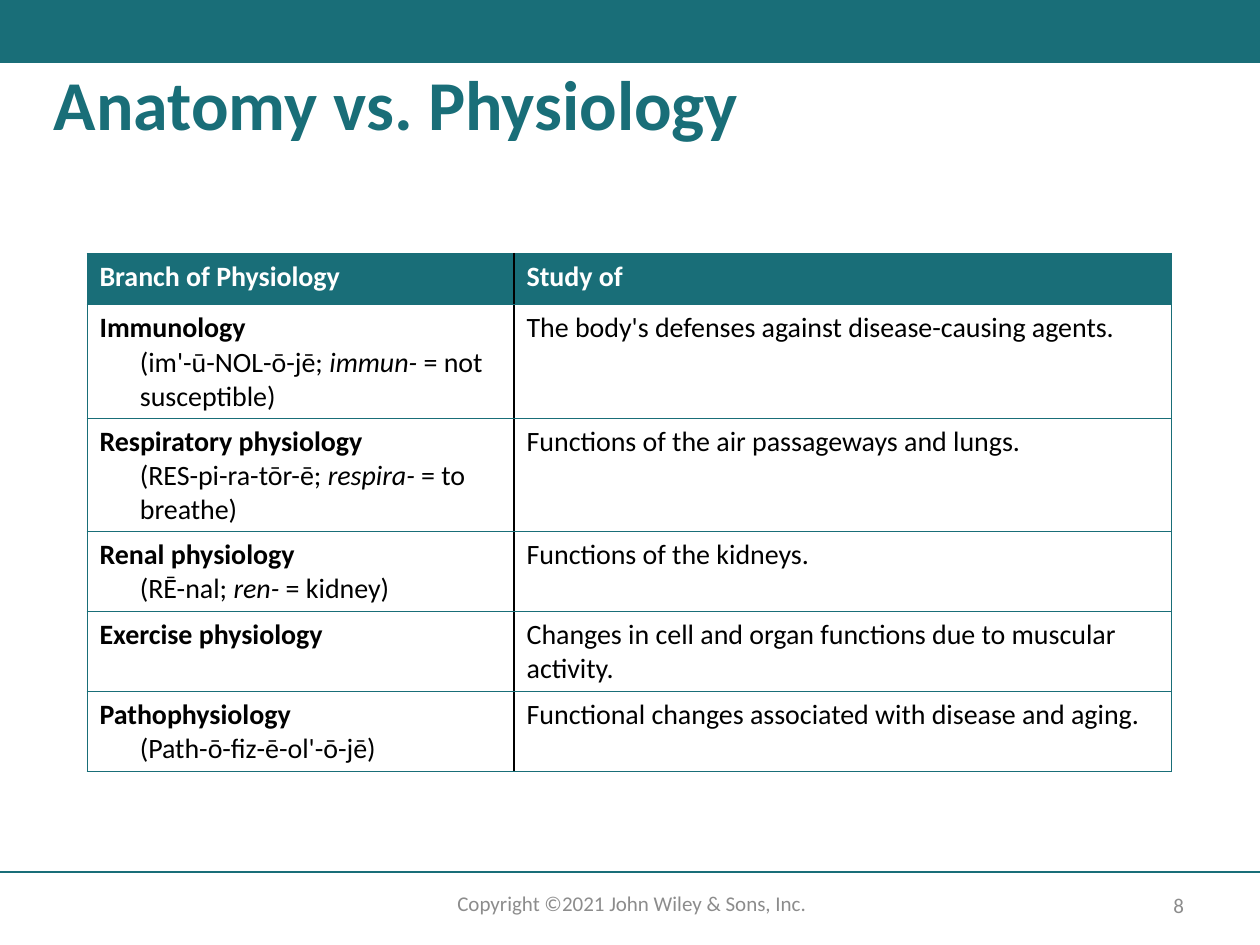
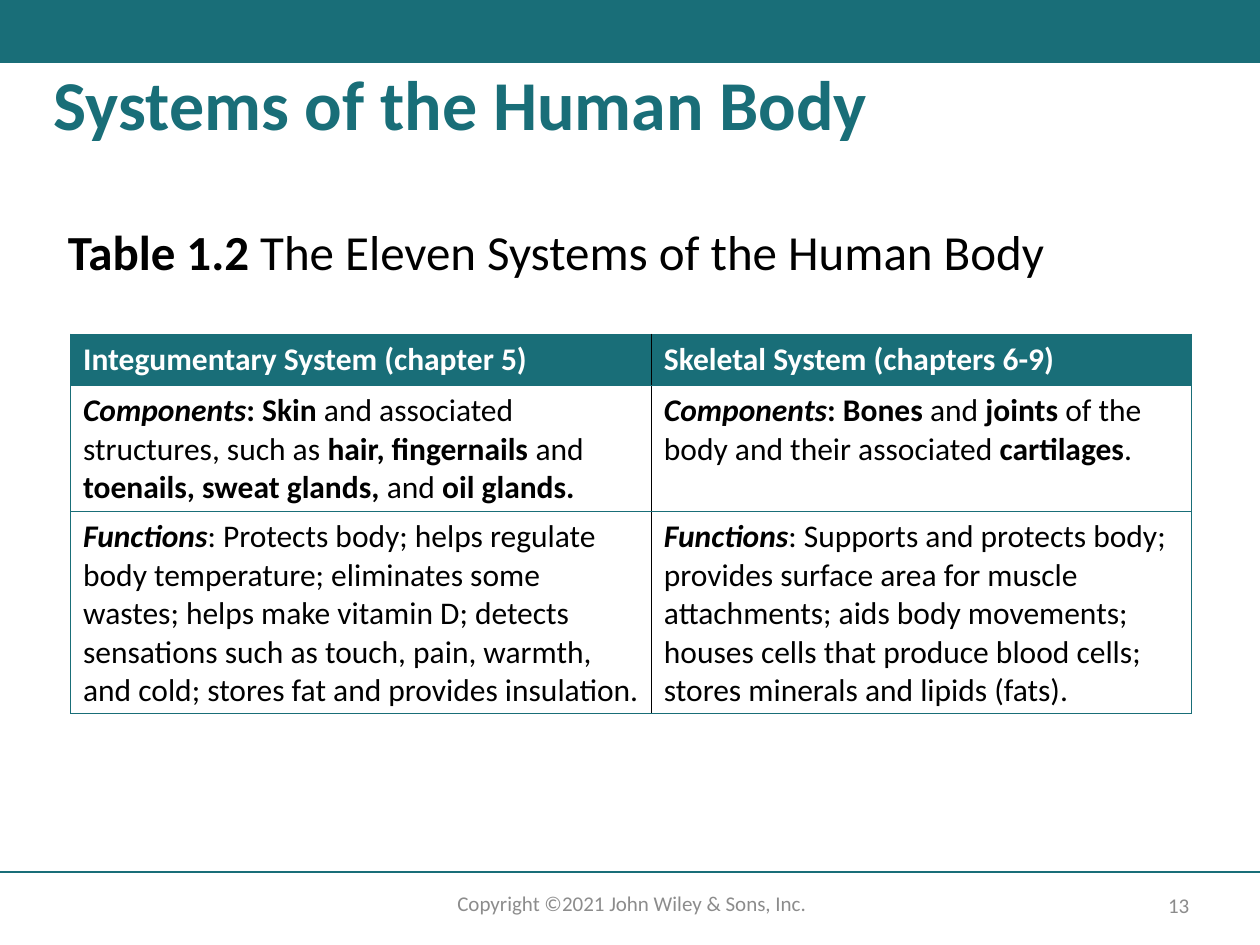
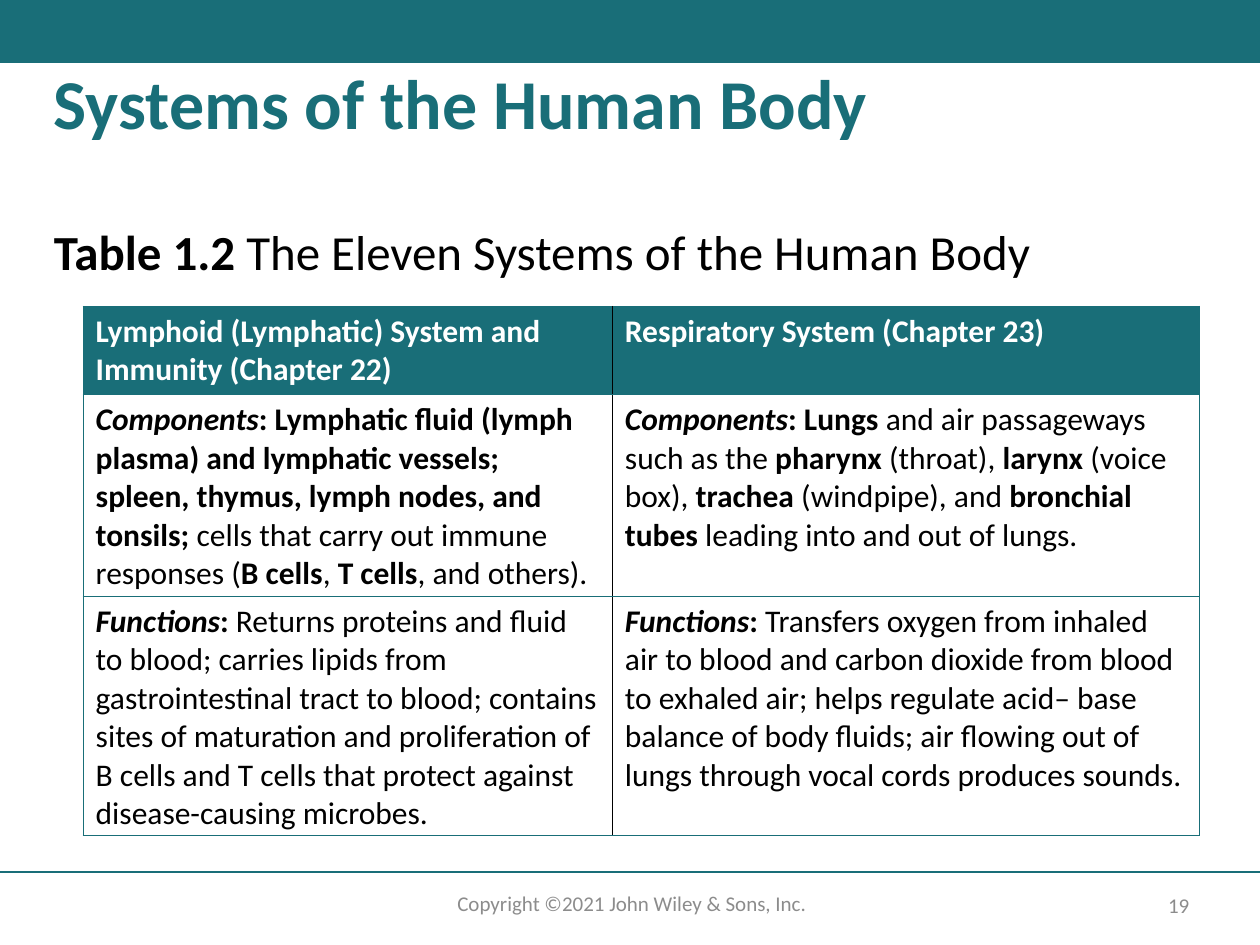
import pptx
import pptx.util
import pptx.dml.color
import pptx.enum.shapes
import pptx.enum.text
import pptx.oxml
import pptx.oxml.ns

# Grid of 100 columns by 75 rows on a 10 by 7.5 inch slide
COLS, ROWS = 100, 75
UNIT = pptx.util.Inches(0.1)
ROW = 4.1
FONT = "Calibri"
HUES = {"teal": "196E78", "white": "FFFFFF", "black": "000000", "gray": "8C8C8C"}
ALIGN = pptx.enum.text.PP_ALIGN
ANCHOR = pptx.enum.text.MSO_ANCHOR

NOTE = "Copyright ©2021 John Wiley & Sons, Inc."
TITLE = "Systems of the Human Body"
LEAD = "*Table 1.2 *The Eleven Systems of the Human Body"

# In all texts * switches bold, _ switches italic, a new line is indented
BRANCHES = [
    ["*Branch of Physiology*", "*Study of*"],
    ["*Immunology*\n(im'-ū-NOL-ō-jē; _immun-_ = not susceptible)",
     "The body's defenses against disease-causing agents."],
    ["*Respiratory physiology*\n(RES-pi-ra-tōr-ē; _respira-_ = to breathe)",
     "Functions of the air passageways and lungs."],
    ["*Renal physiology*\n(RĒ-nal; _ren-_ = kidney)",
     "Functions of the kidneys."],
    ["*Exercise physiology*",
     "Changes in cell and organ functions due to muscular activity."],
    ["*Pathophysiology*\n(Path-ō-fiz-ē-ol'-ō-jē)",
     "Functional changes associated with disease and aging."],
]
SKIN_BONE = [
    ["*Integumentary System (chapter 5)*", "*Skeletal System (chapters 6-9)*"],
    ["*_Components_: Skin* and associated structures, such as "
     "*hair, fingernails *and *toenails, sweat glands,* and* oil glands.*",
     "*_Components_: Bones *and *joints* of the body and their associated "
     "*cartilages*."],
    ["*_Functions_*: Protects body; helps regulate body temperature; "
     "eliminates some wastes; helps make vitamin D; detects sensations such "
     "as touch, pain, warmth, and cold; stores fat and provides insulation.",
     "*_Functions_*: Supports and protects body; provides surface area for "
     "muscle attachments; aids body movements; houses cells that produce "
     "blood cells; stores minerals and lipids (fats)."],
]
LYMPH_LUNG = [
    ["*Lymphoid (Lymphatic) System and Immunity (Chapter 22)*",
     "*Respiratory System (Chapter 23)*"],
    ["*_Components_: Lymphatic fluid (lymph plasma) and lymphatic vessels; "
     "spleen, thymus, lymph nodes, and tonsils; *cells that carry out immune "
     "responses (*B cells*, *T cells*, and others).",
     "*_Components_: Lungs *and air passageways such as the *pharynx* "
     "(throat), *larynx* (voice box), *trachea* (windpipe), and "
     "*bronchial tubes *leading into and out of lungs."],
    ["*_Functions_: *Returns proteins and fluid to blood; carries lipids from "
     "gastrointestinal tract to blood; contains sites of maturation and "
     "proliferation of B cells and T cells that protect against "
     "disease-causing microbes.",
     "*_Functions_:* Transfers oxygen from inhaled air to blood and carbon "
     "dioxide from blood to exhaled air; helps regulate acid– base balance "
     "of body fluids; air flowing out of lungs through vocal cords produces "
     "sounds."],
]


def span(*sizes):
    return [round(size * UNIT) for size in sizes]


def hue(name):
    return pptx.dml.color.RGBColor.from_string(HUES[name])


def write(frame, text, size, tint, align=None, lead=None):
    """Fill a text frame from marked text."""
    for row, line in enumerate(text.split("\n")):
        para = frame.add_paragraph() if row else frame.paragraphs[0]
        if row:
            props = para._p.get_or_add_pPr()
            props.set("marL", str(span(3.2)[0]))
            props.set("indent", "0")
        para.alignment = align
        para.line_spacing = lead
        font = para.font
        font.name, font.size = FONT, pptx.util.Pt(size)
        font.color.rgb = hue(tint)
        for i, bold_part in enumerate(line.split("*")):
            for j, part in enumerate(bold_part.split("_")):
                # An italic stretch always opens and closes inside one bold part
                if part:
                    run = para.add_run()
                    run.text = part
                    run.font.bold = i % 2 == 1
                    run.font.italic = j % 2 == 1


def label(slide, box, text, size, tint, align=None, lead=None, anchor=ANCHOR.TOP):
    frame = slide.shapes.add_textbox(*span(*box)).text_frame
    frame.word_wrap = True
    frame.vertical_anchor = anchor
    write(frame, text, size, tint, align, lead)


def band(slide, box):
    """Bar across the top."""
    bar = slide.shapes.add_shape(
        pptx.enum.shapes.MSO_SHAPE.RECTANGLE, *span(*box))
    bar.shadow.inherit = False
    bar.fill.solid()
    bar.fill.fore_color.rgb = hue("teal")
    bar.line.fill.background()


def footer(slide, box, page):
    """Rule, copyright line and page number."""
    x, y, w, h = box
    rule = slide.shapes.add_connector(
        pptx.enum.shapes.MSO_CONNECTOR.STRAIGHT, *span(x, y, x + w, y))
    rule.line.color.rgb = hue("teal")
    rule.line.width = pptx.util.Pt(1)
    rule._element.spPr.append(pptx.oxml.parse_xml(
        f"<a:effectLst {pptx.oxml.ns.nsdecls('a')}/>"))
    label(slide, (x + 32.2, y + 1, 35.9, 3), NOTE, 12, "gray", ALIGN.CENTER)
    label(slide, (x + 90.5, y + 1.2, 6.1, 2.8), str(page), 12, "gray",
          ALIGN.CENTER, anchor=ANCHOR.MIDDLE)


def edge(cell, sides):
    """Thin teal lines on the named sides of a cell."""
    props = cell._tc.get_or_add_tcPr()
    for side in sides:
        props.append(pptx.oxml.parse_xml(
            f'<a:ln{side} {pptx.oxml.ns.nsdecls("a")} w="6350"><a:solidFill>'
            f'<a:srgbClr val="{HUES["teal"]}"/></a:solidFill></a:ln{side}>'))


def chart_of(slide, box, split, rows, size):
    """Two-column table; split is the width of the first column."""
    x, y, w = box
    table = slide.shapes.add_table(
        len(rows), 2, *span(x, y, w, ROW * len(rows))).table
    look = table._tbl.tblPr
    look.remove(look[0])
    table.horz_banding = False
    for col, wide in zip(table.columns, span(split, w - split)):
        col.width = wide
    for r, texts in enumerate(rows):
        for c, text in enumerate(texts):
            cell = table.cell(r, c)
            edge(cell, "LTB" if c == 0 else "RTB")
            if r:
                cell.fill.background()
            else:
                cell.fill.solid()
                cell.fill.fore_color.rgb = hue("teal")
            write(cell.text_frame, text, size, "black" if r else "white")


def page_of(deck, title, page, top=5.1):
    """Blank slide with band, footer and title."""
    slide = deck.slides.add_slide(deck.slide_layouts[6])
    band(slide, (0, 0, COLS, 5))
    footer(slide, (0, 69.2, COLS, ROWS - 69.2), page)
    label(slide, (3.3, top, 93.3, 9.2), f"*{title}*", 40, "teal", lead=0.9)
    return slide


def main():
    deck = pptx.Presentation()
    deck.slide_width, deck.slide_height = span(COLS, ROWS)

    # Branches of physiology
    slide = page_of(deck, "Anatomy vs. Physiology", 8)
    chart_of(slide, (6.9, 20.1, 86.1), 33.9, BRANCHES, 16)

    # Skin and skeleton
    slide = page_of(deck, TITLE, 13)
    label(slide, (4.4, 17.6, 83.2, 5.6), LEAD, 28, "black", lead=0.9)
    chart_of(slide, (5.6, 26.5, 89), 46.1, SKIN_BONE, 18)

    # Lymph and lungs
    slide = page_of(deck, TITLE, 19, top=5)
    label(slide, (3.3, 17.6, 88, 4.2), LEAD, 28, "black", lead=0.9)
    chart_of(slide, (6.6, 24.3, 88.6), 42, LYMPH_LUNG, 18)

    deck.save("out.pptx")


if __name__ == "__main__":
    main()
